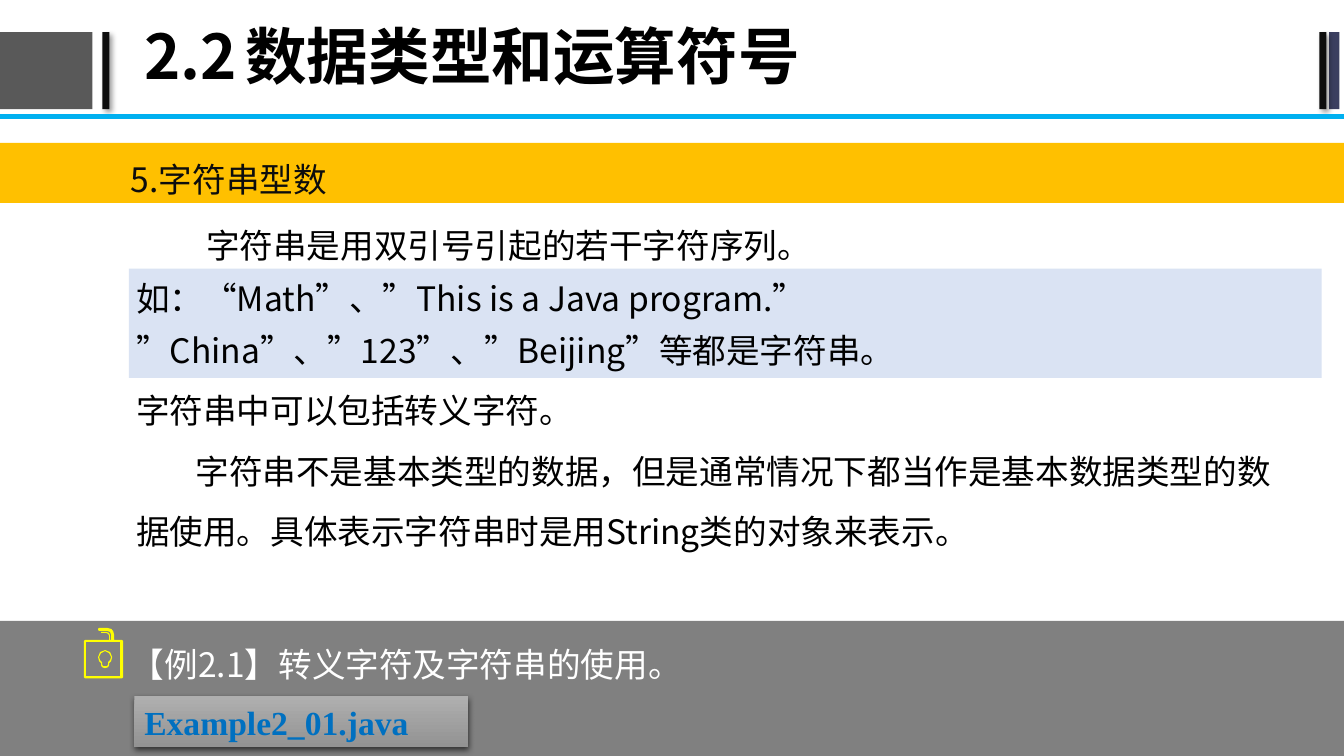
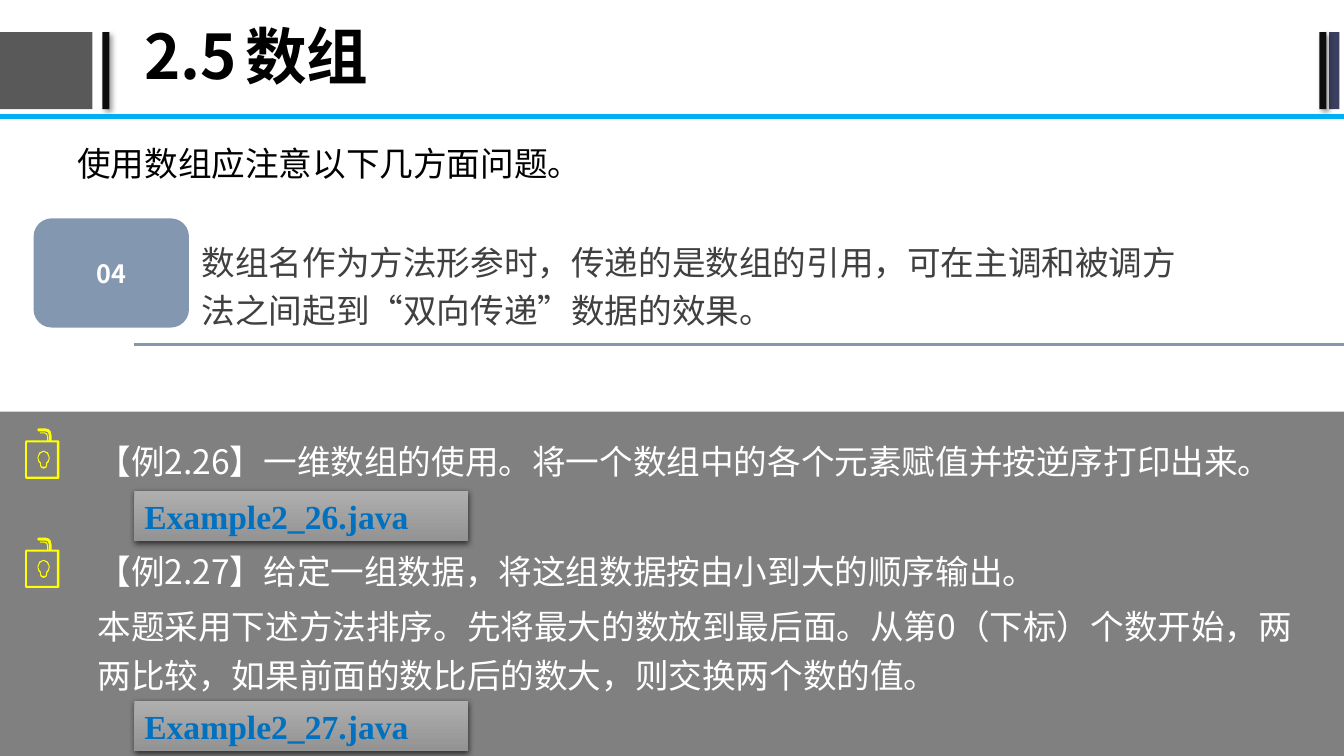
import pptx
import pptx.util
import pptx.dml.color
import pptx.enum.shapes
import pptx.enum.text
import pptx.oxml.ns
from dataclasses import dataclass
from lxml import etree

Pt = pptx.util.Pt
qn = pptx.oxml.ns.qn
Kind = pptx.enum.shapes.MSO_SHAPE
Align = pptx.enum.text.PP_ALIGN
Anchor = pptx.enum.text.MSO_ANCHOR

WIDE, HIGH = 960, 540


@dataclass(frozen=True)
class Theme:
    sans: str = "Noto Sans CJK SC"
    serif: str = "Times New Roman"
    black: str = "000000"
    white: str = "FFFFFF"
    ink: str = "0D0D0D"
    soft: str = "404040"
    dark: str = "595959"
    navy: str = "3B3F60"
    sky: str = "00B0F0"
    gold: str = "FFC000"
    pale: str = "DAE3F3"
    gray: str = "808080"
    steel: str = "8497B0"
    yellow: str = "FFFF00"
    link: str = "0070C0"
    light: str = "AFAFAF"
    deep: str = "939393"
    head: int = 44
    text: int = 24
    small: int = 18


@dataclass(frozen=True)
class Para:
    text: str
    space: float = 1.2
    before: float = 0
    indent: float = 0


# Padlock outlines, in hundredths of an inch
LOCK = (
    [(38, 12), (30, 12), (30, 7), (29, 3), (27, 1), (23, 0), (15, 0), (14, 1),
     (14, 2), (15, 3), (23, 3), (26, 4), (27, 7), (27, 12), (26, 12), (26, 8),
     (25, 5), (22, 4), (17, 4), (17, 5), (22, 5), (24, 6), (25, 8), (25, 12),
     (1, 12), (0, 13), (0, 49), (1, 50), (38, 50), (39, 49), (39, 13)],
    [(36.5, 48), (2.5, 48), (2.5, 14), (36.5, 14)],
)
BULB = (
    [(21, 21.5), (26, 24), (28, 29), (27, 33), (25, 35), (25, 37), (24, 39),
     (21, 40), (18, 39), (17, 37), (17, 35), (15, 33), (14, 29), (16, 24)],
    [(21, 23), (25, 25), (26.7, 29), (26, 32), (24, 34.5), (24, 36.5),
     (23, 38), (21, 38.5), (19, 38), (18, 36.5), (18, 34.5), (16, 32),
     (15.3, 29), (17, 25)],
)


def rgb(code):
    return pptx.dml.color.RGBColor.from_string(code)


class Deck:
    def __init__(self, theme):
        self.theme = theme
        self.prs = pptx.Presentation()
        self.prs.slide_width, self.prs.slide_height = Pt(WIDE), Pt(HIGH)
        self.slide = None

    # Slide frame: title, side bars and blue rule
    def page(self, num, name):
        th = self.theme
        self.slide = self.prs.slides.add_slide(self.prs.slide_layouts[1])
        for left, width, color, shade in (
                (-1.5, 67.5, th.dark, False), (73.2, 5, th.ink, True),
                (949.5, 7.2, th.navy, False), (942.5, 5, th.ink, True)):
            bar = self.block(left, 23, width, 55, color)
            if shade:
                self.shadow(bar, 40, 4, 3, 45)
        title = self.slide.shapes.title
        self.place(title, 96, 0, 810, 85)
        self.fill(title, [Para(f"{num}\t{name}", 0.9)], th.black,
                  size=th.head, bold=True, anchor=Anchor.MIDDLE, tab=96)
        self.block(0, 81.5, WIDE, 3.5, th.sky)

    def place(self, item, left, top, width, height):
        item.left, item.top = Pt(left), Pt(top)
        item.width, item.height = Pt(width), Pt(height)

    # Text, run by run
    def fill(self, item, paras, color, size=None, font=None, bold=False,
             align=Align.LEFT, anchor=Anchor.TOP, pad=(7.2, 3.6), tab=None):
        frame = item.text_frame
        frame.word_wrap = True
        frame.auto_size = pptx.enum.text.MSO_AUTO_SIZE.NONE
        frame.vertical_anchor = anchor
        frame.margin_left = frame.margin_right = Pt(pad[0])
        frame.margin_top = frame.margin_bottom = Pt(pad[1])
        for k, para in enumerate(paras):
            p = frame.add_paragraph() if k else frame.paragraphs[0]
            p.alignment = align
            p.line_spacing = para.space
            p.space_before = Pt(para.before)
            prop = p._p.get_or_add_pPr()
            prop.set("marL", "0")
            prop.set("indent", str(Pt(para.indent)))
            etree.SubElement(prop, qn("a:buNone"))
            if tab:
                tabs = etree.SubElement(prop, qn("a:tabLst"))
                etree.SubElement(tabs, qn("a:tab"), pos=str(Pt(tab)), algn="l")
            run = p.add_run()
            run.text = para.text
            run.font.size = Pt(size or self.theme.text)
            run.font.bold = bold
            run.font.color.rgb = rgb(color)
            run.font.name = font or self.theme.sans
            etree.SubElement(run._r.get_or_add_rPr(), qn("a:ea"),
                             typeface=run.font.name)

    def body(self, left, top, width, height, paras):
        item = self.slide.placeholders[1]
        self.place(item, left, top, width, height)
        self.fill(item, paras, self.theme.black)
        # Bring the text in front of the bands drawn so far
        self.slide.shapes._spTree.append(item._element)

    def note(self, left, top, width, height, paras, color):
        box = self.slide.shapes.add_textbox(
            Pt(left), Pt(top), Pt(width), Pt(height))
        self.fill(box, paras, color, pad=(9.6, 4.8))

    # Shapes
    def block(self, left, top, width, height, color, kind=Kind.RECTANGLE):
        item = self.slide.shapes.add_shape(
            kind, Pt(left), Pt(top), Pt(width), Pt(height))
        item.shadow.inherit = False
        item.fill.solid()
        item.fill.fore_color.rgb = rgb(color)
        item.line.fill.background()
        return item

    def shadow(self, item, alpha, blur, dist, angle):
        item.shadow.inherit = False
        effect = item._element.spPr.find(qn("a:effectLst"))
        outer = etree.SubElement(
            effect, qn("a:outerShdw"), blurRad=str(Pt(blur)),
            dist=str(Pt(dist)), dir=str(angle * 60000), rotWithShape="0")
        tint = etree.SubElement(outer, qn("a:srgbClr"), val=self.theme.black)
        etree.SubElement(tint, qn("a:alpha"), val=str(alpha * 1000))

    def badge(self, left, top, width, height, text):
        th = self.theme
        item = self.block(left, top, width, height, th.steel,
                          Kind.ROUNDED_RECTANGLE)
        self.fill(item, [Para(text, 1)], th.white, size=th.small, bold=True,
                  align=Align.CENTER, anchor=Anchor.MIDDLE)

    def rule(self, left, top, right):
        line = self.slide.shapes.add_connector(
            pptx.enum.shapes.MSO_CONNECTOR.STRAIGHT,
            Pt(left), Pt(top), Pt(right), Pt(top))
        line.line.color.rgb = rgb(self.theme.steel)
        line.line.width = Pt(2.25)
        etree.SubElement(line._element.spPr, qn("a:effectLst"))

    def button(self, top, text):
        th = self.theme
        item = self.block(96, top, 238.5, 36, th.gray)
        item.fill.gradient()
        item.fill.gradient_angle = 270
        for stop, color in zip(item.fill.gradient_stops, (th.light, th.deep)):
            stop.color.rgb = rgb(color)
        self.shadow(item, 63, 4.5, 1.5, 90)
        self.fill(item, [Para(text, 1)], th.link, font=th.serif, bold=True)

    def lock(self, left, top, width):
        scale = (Pt(width) / 39, Pt(36) / 50)
        parts = []
        for outer, inner in (LOCK, BULB):
            draw = self.slide.shapes.build_freeform(*outer[0], scale=scale)
            draw.add_line_segments(outer[1:], close=True)
            draw.move_to(*inner[0])
            draw.add_line_segments(inner[1:], close=True)
            part = draw.convert_to_shape(Pt(left), Pt(top))
            part.shadow.inherit = False
            part.fill.solid()
            part.fill.fore_color.rgb = rgb(self.theme.yellow)
            part.line.fill.background()
            parts.append(part)
        self.slide.shapes.add_group_shape(parts)


def strings(deck):
    th = deck.theme
    deck.page("2.2", "数据类型和运算符号")
    # Bands
    deck.block(92, 192, 852, 78, th.pale)
    deck.block(0, 443.5, WIDE, HIGH - 443.5, th.gray)
    deck.block(0, 102, WIDE, 43, th.gold)
    # Heading and explanation
    deck.note(84, 103, 734, 42, [Para("5.字符串型数")], th.ink)
    deck.body(90, 148.5, 828, 284, [
        Para("字符串是用双引号引起的若干字符序列。", 1.3, indent=50),
        Para("如：“Math”、”This is a Java program.”", 1.3),
        Para("”China”、”123”、”Beijing”等都是字符串。", 1.3),
        Para("字符串中可以包括转义字符。", 1.5),
        Para("字符串不是基本类型的数据，但是通常情况下都当作是基本数据类型的数据使用。"
             "具体表示字符串时是用String类的对象来表示。", 1.5, indent=42.5)])
    # Example
    deck.lock(60, 448.5, 28)
    deck.note(84, 449.5, 734, 73,
              [Para("【例2.1】转义字符及字符串的使用。")], th.white)
    deck.button(497.5, "Example2_01.java")


def arrays(deck):
    th = deck.theme
    deck.page("2.5", "数组")
    # Rule to remember
    deck.body(48, 102, 864, 42, [Para("使用数组应注意以下几方面问题。", 0.9)])
    deck.rule(96, 246, WIDE)
    deck.note(134.5, 162, 729.5, 84, [
        Para("数组名作为方法形参时，传递的是数组的引用，可在主调和被调方法之间"
             "起到“双向传递”数据的效果。")], th.soft)
    deck.badge(24, 156, 111, 78, "04")
    # Examples
    deck.block(0, 294, WIDE, HIGH - 294, th.gray)
    deck.note(60, 304.5, 876, 220, [
        Para("【例2.26】一维数组的使用。将一个数组中的各个元素赋值并按逆序打印出来。"),
        Para("【例2.27】给定一组数据，将这组数据按由小到大的顺序输出。", before=44),
        Para("本题采用下述方法排序。先将最大的数放到最后面。从第0（下标）个数开始，"
             "两两比较，如果前面的数比后的数大，则交换两个数的值。", before=4.8),
    ], th.white)
    for top in (306, 384):
        deck.lock(18, top, 24.5)
    for top, name in ((350.5, "Example2_26.java"), (500.5, "Example2_27.java")):
        deck.button(top, name)


def main():
    deck = Deck(Theme())
    strings(deck)
    arrays(deck)
    deck.prs.save("out.pptx")


if __name__ == "__main__":
    main()
